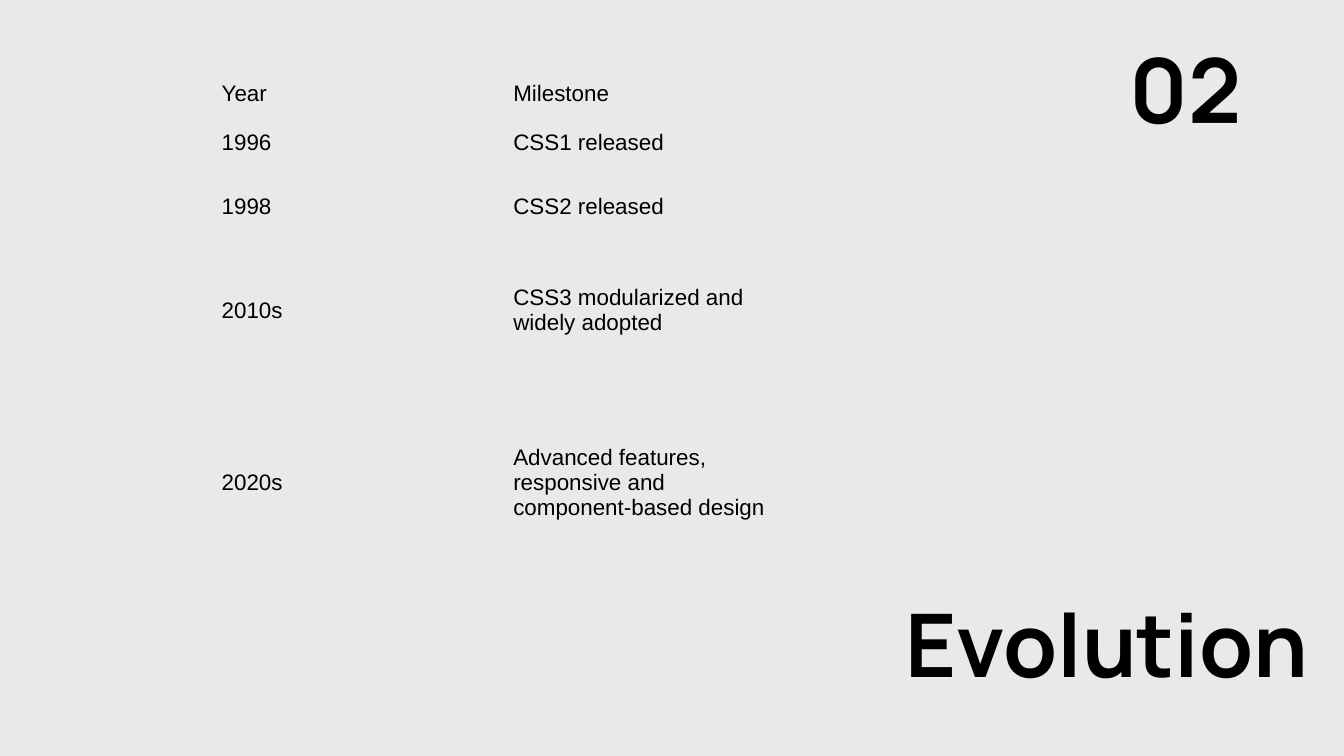
import pptx
import pptx.util
import pptx.dml.color
import pptx.enum.text
from pptx.util import Inches

COLORS = {"background": "E9E9E9", "text": "000000"}
ANCHOR = pptx.enum.text.MSO_ANCHOR
ALIGN = pptx.enum.text.PP_ALIGN
NO_STYLE_NO_GRID = "{2D5ABB26-0587-4C30-8999-92F81FD0307C}"


def set_attributes(target, values):
    for name, value in values.items():
        setattr(target, name, value)


def write_text(frame, text, alignment, font_name, size, bold):
    frame.text = text
    paragraph = frame.paragraphs[0]
    paragraph.alignment = alignment
    font = paragraph.runs[0].font
    set_attributes(font, {"name": font_name, "size": pptx.util.Pt(size), "bold": bold})
    font.color.rgb = pptx.dml.color.RGBColor.from_string(COLORS["text"])


# Slide in 16:9 format
presentation = pptx.Presentation()
presentation.slide_width = Inches(10)
presentation.slide_height = Inches(10) * 9 // 16
slide = presentation.slides.add_slide(presentation.slide_layouts[5])

# Background
fill = slide.background.fill
fill.solid()
fill.fore_color.rgb = pptx.dml.color.RGBColor.from_string(COLORS["background"])

# Title and section number
title = slide.shapes.title
number = slide.shapes.add_textbox(0, 0, 0, 0)
headings = [
    (title, "Evolution", (3.91, 3.72, 5.93, 1.55), 47, ALIGN.RIGHT, ANCHOR.BOTTOM),
    (number, "02", (8.16, 0.13, 1.33, 1.04), 48, ALIGN.CENTER, ANCHOR.MIDDLE),
]
for shape, text, box, size, alignment, anchor in headings:
    set_attributes(shape, dict(zip(("left", "top", "width", "height"), map(Inches, box))))
    frame = shape.text_frame
    set_attributes(frame, {
        "word_wrap": True,
        "auto_size": pptx.enum.text.MSO_AUTO_SIZE.NONE,
        "vertical_anchor": anchor,
        "margin_left": Inches(0.1),
        "margin_right": Inches(0.1),
        "margin_top": Inches(0.1),
        "margin_bottom": Inches(0.1),
    })
    write_text(frame, text, alignment, "Manrope", size, True)

# Milestone table
milestones = [
    ("Year", "Milestone", 0.27),
    ("1996", "CSS1 released", 0.47),
    ("1998", "CSS2 released", 0.47),
    ("2010s", "CSS3 modularized and widely adopted", 1.08),
    ("2020s", "Advanced features, responsive and component-based design", 1.48),
]
table_shape = slide.shapes.add_table(
    len(milestones), 2, Inches(1.58), Inches(0.56), Inches(4.33), Inches(3.77))
table = table_shape.table
set_attributes(table, {"first_row": False, "horz_banding": False})
table_shape._element.xpath(".//a:tableStyleId")[0].text = NO_STYLE_NO_GRID
for column in table.columns:
    column.width = Inches(2.17)
for row, (year, milestone, height) in zip(table.rows, milestones):
    row.height = Inches(height)
    for cell, text in zip(row.cells, (year, milestone)):
        cell.fill.background()
        set_attributes(cell, {
            "vertical_anchor": ANCHOR.MIDDLE,
            "margin_left": Inches(0.07),
            "margin_right": Inches(0.07),
            "margin_top": Inches(0.03),
            "margin_bottom": Inches(0.03),
        })
        write_text(cell.text_frame, text, ALIGN.LEFT, "Arial", 12, False)

presentation.save("out.pptx")
